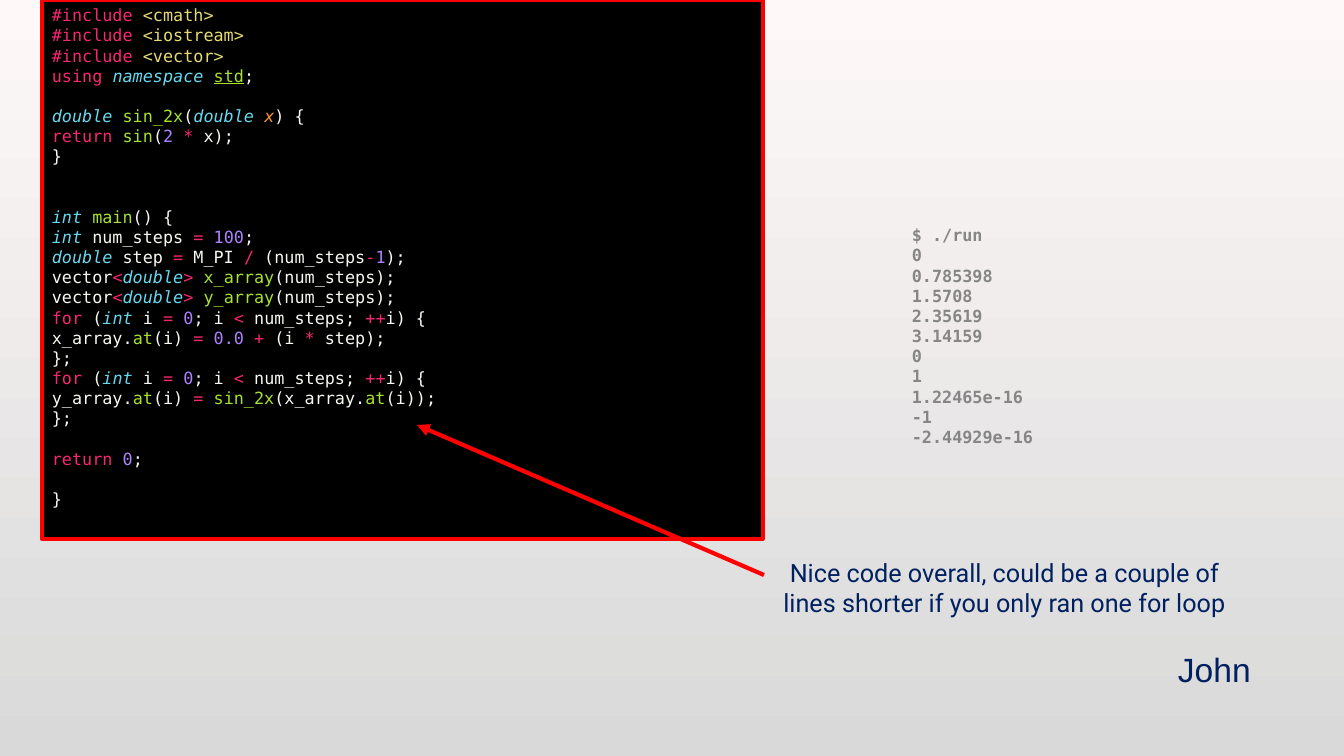
from lxml.etree import SubElement
from pptx import Presentation
from pptx.dml.color import RGBColor
from pptx.enum.shapes import MSO_CONNECTOR as Connector, MSO_SHAPE as Shape
from pptx.enum.text import MSO_ANCHOR as Anchor, PP_ALIGN as Align
from pptx.oxml.ns import qn
from pptx.util import Pt

SLIDE = (1344, 756)
PX = 914400 / 100.8

BLACK = RGBColor(0x00, 0x00, 0x00)
RED = RGBColor(0xFF, 0x00, 0x00)
NAVY = RGBColor(0x00, 0x20, 0x60)
GRAY = RGBColor(0x86, 0x86, 0x86)
SKY_TOP = RGBColor(0xFE, 0xF9, 0xF8)
SKY_BOTTOM = RGBColor(0xD9, 0xD9, 0xD9)
PINK = RGBColor(0xF9, 0x26, 0x72)
YELLOW = RGBColor(0xE6, 0xDB, 0x74)
CYAN = RGBColor(0x66, 0xD9, 0xEF)
GREEN = RGBColor(0xA6, 0xE2, 0x2E)
WHITE = RGBColor(0xF8, 0xF8, 0xF2)
PURPLE = RGBColor(0xAE, 0x81, 0xFF)
ORANGE = RGBColor(0xFD, 0x97, 0x1F)

MONO = "DejaVu Sans Mono"
MONO_SIZE = 12
MONO_LINE = 14.4

# Token kinds: colour, italic, underlined
KEYWORD = (PINK, False, False)
HEADER = (YELLOW, False, False)
TYPE = (CYAN, True, False)
NAME = (GREEN, False, False)
SCOPE = (GREEN, False, True)
PLAIN = (WHITE, False, False)
NUMBER = (PURPLE, False, False)
ARGUMENT = (ORANGE, True, False)


def include(header):
    return [(KEYWORD, "#include "), (HEADER, f"<{header}>")]


def declare_vector(name):
    return [(PLAIN, "vector"), (KEYWORD, "<"), (TYPE, "double"), (KEYWORD, "> "),
            (NAME, name), (PLAIN, "(num_steps);")]


FOR_LOOP = [(KEYWORD, "for"), (PLAIN, " ("), (TYPE, "int "), (PLAIN, "i "),
            (KEYWORD, "= "), (NUMBER, "0"), (PLAIN, "; i "), (KEYWORD, "< "),
            (PLAIN, "num_steps; "), (KEYWORD, "++"), (PLAIN, "i) {")]
LOOP_END = [(PLAIN, "};")]
BLOCK_END = [(PLAIN, "}")]
BLANK = []

CODE = [
    include("cmath"),
    include("iostream"),
    include("vector"),
    [(KEYWORD, "using "), (TYPE, "namespace "), (SCOPE, "std"), (PLAIN, ";")],
    BLANK,
    [(TYPE, "double "), (NAME, "sin_2x"), (PLAIN, "("), (TYPE, "double "),
     (ARGUMENT, "x"), (PLAIN, ") {")],
    [(KEYWORD, "return "), (NAME, "sin"), (PLAIN, "("), (NUMBER, "2 "),
     (KEYWORD, "*"), (PLAIN, " x);")],
    BLOCK_END,
    BLANK,
    BLANK,
    [(TYPE, "int "), (NAME, "main"), (PLAIN, "() {")],
    [(TYPE, "int "), (PLAIN, "num_steps "), (KEYWORD, "= "), (NUMBER, "100"), (PLAIN, ";")],
    [(TYPE, "double"), (PLAIN, " step "), (KEYWORD, "="), (PLAIN, " M_PI "), (KEYWORD, "/"),
     (PLAIN, " (num_steps"), (KEYWORD, "-"), (NUMBER, "1"), (PLAIN, ");")],
    declare_vector("x_array"),
    declare_vector("y_array"),
    FOR_LOOP,
    [(PLAIN, "x_array."), (NAME, "at"), (PLAIN, "(i) "), (KEYWORD, "= "), (NUMBER, "0.0 "),
     (KEYWORD, "+"), (PLAIN, " (i "), (KEYWORD, "*"), (PLAIN, " step);")],
    LOOP_END,
    FOR_LOOP,
    [(PLAIN, "y_array."), (NAME, "at"), (PLAIN, "(i) "), (KEYWORD, "= "), (NAME, "sin_2x"),
     (PLAIN, "(x_array."), (NAME, "at"), (PLAIN, "(i));")],
    LOOP_END,
    BLANK,
    [(KEYWORD, "return "), (NUMBER, "0"), (PLAIN, ";")],
    BLANK,
    BLOCK_END,
]
CODE_BOX = (42, 0, 721, 539)

OUTPUT = ["$ ./run", "0", "0.785398", "1.5708", "2.35619", "3.14159",
          "0", "1", "1.22465e-16", "-1", "-2.44929e-16"]
REVIEW = "Nice code overall, could be a couple of lines shorter if you only ran one for loop"
REVIEWER = "John"
# Lines, box, font, size, colour, bold, alignment
LABELS = [
    (OUTPUT, (902, 220, 229, 234), MONO, MONO_SIZE, GRAY, True, Align.LEFT),
    ([REVIEWER], (1168, 644, 175, 50), "Arial", 24, NAVY, False, Align.LEFT),
    ([REVIEW], (764, 552, 481, 72), "Roboto", 18, NAVY, False, Align.CENTER),
]
ARROW = (764, 575, 417, 425)


def emu(lengths):
    return [round(length * PX) for length in lengths]


def style(run, font, size, color, bold=False, italic=False, underline=False):
    run.font.name, run.font.size = font, Pt(size)
    run.font.color.rgb = color
    run.font.bold, run.font.italic, run.font.underline = bold, italic, underline


def next_paragraph(frame, index):
    return frame.add_paragraph() if index else frame.paragraphs[0]


def add_code(slide):
    panel = slide.shapes.add_shape(Shape.RECTANGLE, *emu(CODE_BOX))
    panel.shadow.inherit = False
    panel.fill.solid()
    panel.fill.fore_color.rgb = BLACK
    panel.line.color.rgb = RED
    panel.line.width = Pt(2.5)
    frame = panel.text_frame
    frame.word_wrap = True
    frame.vertical_anchor = Anchor.TOP
    blanks = 0
    for index, tokens in enumerate(CODE):
        if not tokens:
            blanks += 1
            continue
        paragraph = next_paragraph(frame, index)
        paragraph.alignment = Align.LEFT
        paragraph.space_before = Pt(blanks * MONO_LINE)
        blanks = 0
        for (color, italic, underline), text in tokens:
            run = paragraph.add_run()
            run.text = text
            style(run, MONO, MONO_SIZE, color, italic=italic, underline=underline)


def add_label(slide, lines, box, font, size, color, bold, alignment):
    frame = slide.shapes.add_textbox(*emu(box)).text_frame
    frame.word_wrap = True
    for index, line in enumerate(lines):
        paragraph = next_paragraph(frame, index)
        paragraph.text = line
        paragraph.alignment = alignment
        style(paragraph.runs[0], font, size, color, bold)


def add_arrow(slide):
    arrow = slide.shapes.add_connector(Connector.STRAIGHT, *emu(ARROW))
    arrow.line.color.rgb = RED
    arrow.line.width = Pt(3)
    SubElement(arrow.line._get_or_add_ln(), qn("a:tailEnd"), type="triangle")
    SubElement(arrow._element.spPr, qn("a:effectLst"))


def main():
    deck = Presentation()
    deck.slide_width, deck.slide_height = emu(SLIDE)
    slide = deck.slides.add_slide(deck.slide_layouts[6])
    sky = slide.background.fill
    sky.gradient()
    sky.gradient_angle = 270
    for stop, color in zip(sky.gradient_stops, (SKY_TOP, SKY_BOTTOM)):
        stop.color.rgb = color
    add_code(slide)
    for label in LABELS:
        add_label(slide, *label)
    add_arrow(slide)
    deck.save("out.pptx")


if __name__ == "__main__":
    main()
